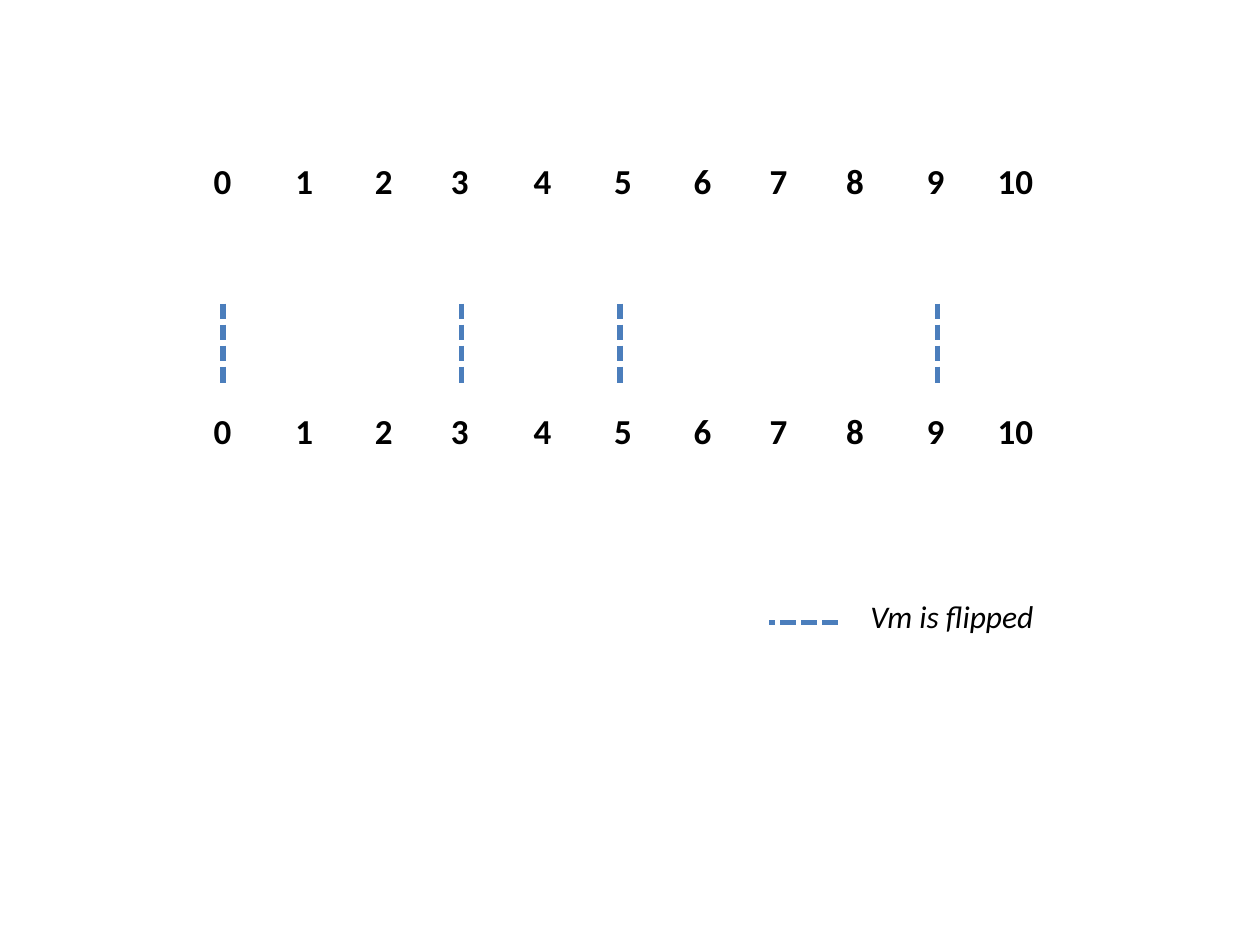
"""Builds a slide with two numbered rows and dashed marks where Vm is flipped."""
import pptx
import pptx.dml.color
import pptx.enum.dml
import pptx.enum.shapes
import pptx.enum.text
import pptx.oxml
import pptx.util
from pptx.util import Inches

BLACK = pptx.dml.color.RGBColor(0x00, 0x00, 0x00)
BLUE = pptx.dml.color.RGBColor(0x4B, 0x7E, 0xBC)
FONT = "Calibri"

LABEL_LEFTS = [1.52, 2.17, 2.8, 3.38, 4.06, 4.7, 5.33, 5.91, 6.54, 7.18, 7.76]
LABEL_WIDTH = 0.49
WIDER_LABELS = {3: 0.54, 7: 0.54, 10: 0.6}
ROW_TOPS = [1.22, 3.2]
FLIPPED_STEPS = [0, 3, 5, 9]
FIRST_MARK, STEP = 1.77, 0.63
MARK_TOP, MARK_BOTTOM = 2.41, 3.07
LEGEND_Y = 4.94


class SlideBuilder:
    def __init__(self, slide):
        self.slide = slide

    def text(self, shapes, text, left, top, width, height, size, bold=False, italic=False,
             alignment=pptx.enum.text.PP_ALIGN.LEFT):
        shape = shapes.add_textbox(Inches(left), Inches(top), Inches(width), Inches(height))
        frame = shape.text_frame
        frame.word_wrap = True
        frame.auto_size = pptx.enum.text.MSO_AUTO_SIZE.SHAPE_TO_FIT_TEXT
        paragraph = frame.paragraphs[0]
        paragraph.alignment = alignment
        run = paragraph.add_run()
        run.text = text
        run.font.name = FONT
        run.font.size = pptx.util.Pt(size)
        run.font.bold = bold
        run.font.italic = italic
        run.font.color.rgb = BLACK

    def number_row(self, top):
        group = self.slide.shapes.add_group_shape()
        for number, left in enumerate(LABEL_LEFTS):
            width = WIDER_LABELS.get(number, LABEL_WIDTH)
            self.text(group.shapes, str(number), left, top, width, 0.44, 20, bold=True,
                      alignment=pptx.enum.text.PP_ALIGN.CENTER)

    def dashed_line(self, start_x, start_y, end_x, end_y):
        connector = self.slide.shapes.add_connector(
            pptx.enum.shapes.MSO_CONNECTOR.STRAIGHT,
            Inches(start_x), Inches(start_y), Inches(end_x), Inches(end_y))
        connector.line.color.rgb = BLUE
        connector.line.width = pptx.util.Pt(3)
        connector.line.dash_style = pptx.enum.dml.MSO_LINE.SQUARE_DOT
        properties = connector._element.spPr
        properties.append(pptx.oxml.parse_xml(
            '<a:effectLst xmlns:a="http://schemas.openxmlformats.org/drawingml/2006/main"/>'))


def main():
    presentation = pptx.Presentation()
    presentation.slide_width = Inches(10)
    presentation.slide_height = Inches(7.5)
    slide = presentation.slides.add_slide(presentation.slide_layouts[6])
    builder = SlideBuilder(slide)

    for top in ROW_TOPS:
        builder.number_row(top)
    for step in FLIPPED_STEPS:
        mark_x = FIRST_MARK + step * STEP
        builder.dashed_line(mark_x, MARK_TOP, mark_x, MARK_BOTTOM)

    builder.dashed_line(6.65, LEGEND_Y, 6.1, LEGEND_Y)
    builder.text(slide.shapes, "Vm is flipped", 6.81, 4.69, 1.6, 0.4, 18, italic=True)

    presentation.save("out.pptx")


if __name__ == "__main__":
    main()
